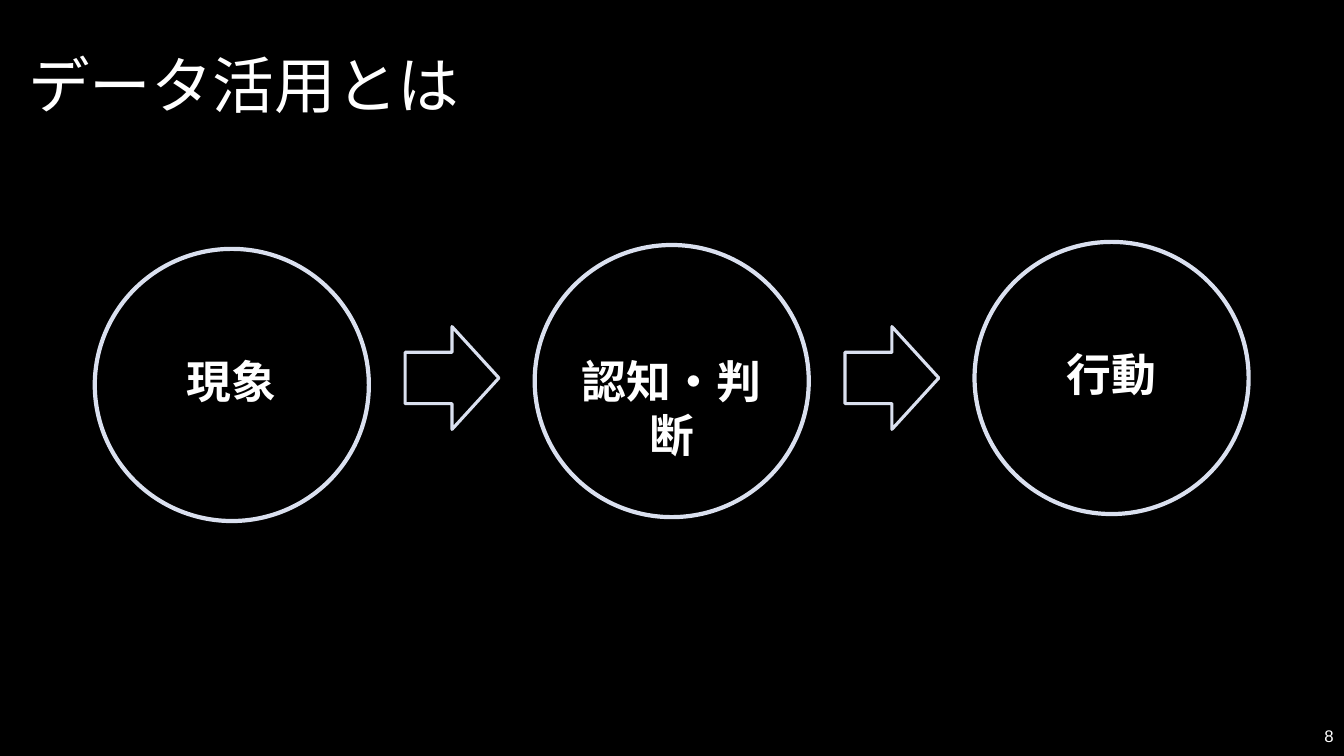
from pptx import Presentation
from pptx.dml.color import RGBColor
from pptx.enum import shapes, text
from pptx.util import Pt

TITLE = "データ活用とは"
PAGE = "8"
STEPS = [
    ("現象", 177.8, 249.1),
    ("認知・判断", 175, 249.1),
    ("行動", 172.8, 244.1),
]
COLORS = {"back": "000000", "text": "FFFFFF", "line": "DAE0EF"}
FONT = "Arial"
LEFT, PITCH = 67.7, 314.2
RING = (195.8, 194.4)
LABEL = (163.4, 46.1)
ARROW = (67, 73.4)
ARROW_TOP = 233.3
ARROW_GAP = 221.7


def color(name):
    return RGBColor.from_string(COLORS[name])


def write(slide, words, box, size, bold=False, align="LEFT", anchor="MIDDLE", space=1.0):
    frame = slide.shapes.add_textbox(*map(Pt, box)).text_frame
    frame.word_wrap = True
    frame.vertical_anchor = text.MSO_ANCHOR[anchor]
    para = frame.paragraphs[0]
    para.alignment = text.PP_ALIGN[align]
    para.line_spacing = space
    run = para.add_run()
    run.text = words
    run.font.name = FONT
    run.font.size = Pt(size)
    run.font.bold = bold
    run.font.color.rgb = color("text")


def outline(slide, kind, box, width):
    shape = slide.shapes.add_shape(shapes.MSO_SHAPE[kind], *map(Pt, box))
    shape.shadow.inherit = False
    shape.fill.background()
    shape.line.color.rgb = color("line")
    shape.line.width = Pt(width)


def main():
    deck = Presentation()
    deck.slide_width, deck.slide_height = Pt(960), Pt(540)
    slide = deck.slides.add_slide(deck.slide_layouts[6])
    fill = slide.background.fill
    fill.solid()
    fill.fore_color.rgb = color("back")

    write(slide, TITLE, (13, 10.8, 938.9, 104.4), 44, space=0.9)
    write(slide, PAGE, (743.8, 511.2, 216, 28.8), 12, align="RIGHT")

    inset = (RING[0] - LABEL[0]) / 2
    for i, (name, top, base) in enumerate(STEPS):
        left = LEFT + i * PITCH
        outline(slide, "OVAL", (left, top, *RING), 3)
        write(slide, name, (left + inset, base, *LABEL), 32,
              bold=True, align="CENTER", anchor="TOP")
        if i < len(STEPS) - 1:
            outline(slide, "RIGHT_ARROW", (left + ARROW_GAP, ARROW_TOP, *ARROW), 2.25)

    deck.save("out.pptx")


if __name__ == "__main__":
    main()
